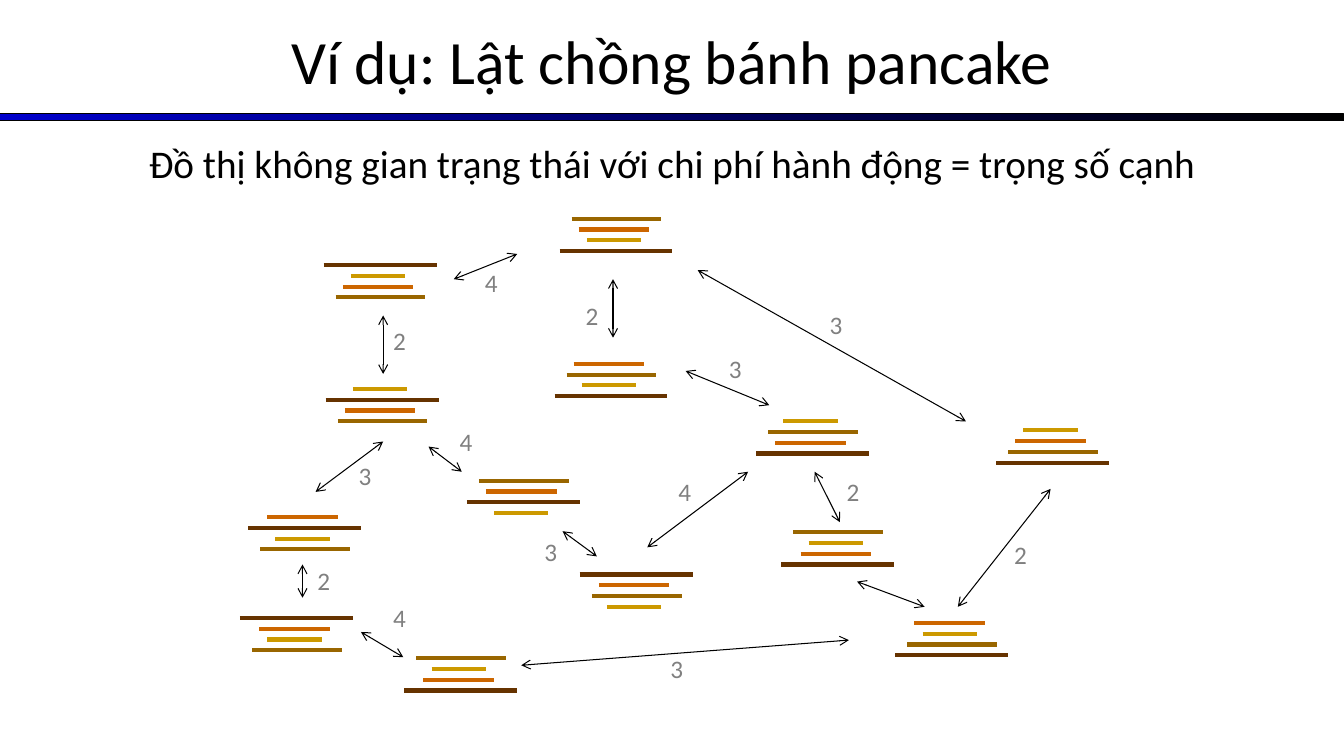
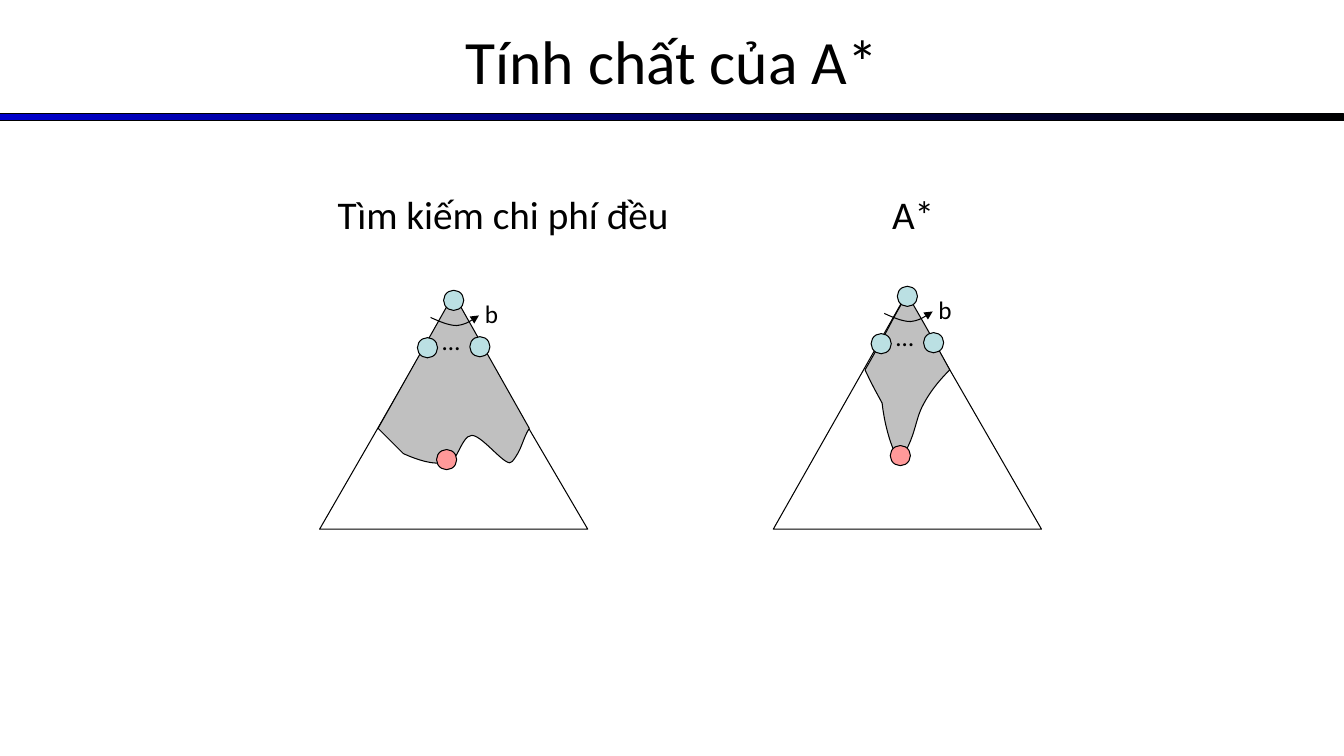
from dataclasses import dataclass

from lxml.etree import SubElement
from pptx import Presentation
from pptx.dml.color import RGBColor
from pptx.enum.shapes import MSO_CONNECTOR, MSO_SHAPE
from pptx.enum.text import MSO_ANCHOR, MSO_AUTO_SIZE, PP_ALIGN
from pptx.oxml.ns import qn
from pptx.util import Inches, Pt

PX = Inches(1) // 100
SLIDE_W, SLIDE_H = 1333, 750


@dataclass(frozen=True)
class Theme:
    font: str = "Calibri"
    ink: str = "000000"
    band: str = "0000CC"
    cost: str = "808080"
    node: str = "BBE0E3"
    goal: str = "FF9999"
    explored: str = "C0C0C0"
    title_size: int = 44
    heading_size: int = 28
    label_size: int = 18
    thin: float = 0.75
    thick: float = 3


THEME = Theme()

# size: (left offset, width, colour)
PANCAKES = {
    1: (27, 54, "CC9900"),
    2: (19, 70, "CC6600"),
    3: (12, 89, "996600"),
    4: (0, 112, "663300"),
}

# left, top, pancake sizes from top to bottom
STACKS = [
    (555, 217, (3, 2, 1, 4)), (321, 263, (4, 1, 2, 3)),
    (550, 361, (2, 3, 1, 4)), (323, 386, (1, 4, 2, 3)),
    (750, 418, (1, 3, 2, 4)), (988, 427, (1, 2, 3, 4)),
    (463, 477, (3, 2, 4, 1)), (246, 513, (2, 4, 1, 3)),
    (775, 528, (3, 1, 2, 4)), (575, 570, (4, 2, 3, 1)),
    (238, 613, (4, 2, 1, 3)), (888, 618, (2, 1, 3, 4)),
    (401, 653, (3, 1, 2, 4)),
]

# start, end, cost, place of the cost
EDGES = [
    ((513, 252), (450, 277), "4", (471, 260)),
    ((380, 371), (380, 313), "2", (380, 318)),
    ((313, 488), (380, 438), "3", (346, 452)),
    ((458, 468), (425, 443), "4", (446, 418)),
    ((300, 593), (300, 560), "2", (305, 556)),
    ((400, 652), (358, 627), "4", (380, 593)),
    ((842, 635), (517, 660), "3", (655, 643)),
    ((592, 552), (558, 527), "3", (530, 527)),
    ((742, 468), (642, 543), "4", (663, 468)),
    ((680, 368), (763, 402), "3", (713, 346)),
    ((608, 277), (608, 335), "2", (571, 293)),
    ((958, 418), (692, 268), "3", (813, 302)),
    ((808, 468), (833, 518), "2", (830, 468)),
    ((850, 577), (917, 602), None, None),
    ((950, 602), (1042, 485), "2", (996, 530)),
]

# Outlines relative to a tree's box; six numbers make a cubic curve
BRANCHING_ARC = [(110, 27), (119, 31, 128, 35, 136, 35), (144, 34, 151, 30, 158, 25)]
UNIFORM_COST_AREA = [
    (133, 4), (58, 137), (83, 162),
    (83, 162, 112, 176, 125, 170), (136, 176, 140, 144, 151, 144),
    (162, 144, 186, 178, 191, 170), (201, 158, 201, 148, 208, 137),
]
A_STAR_AREA = [
    (133, 8), (118, 32, 117, 38, 91, 83), (99, 100, 101, 103, 108, 116),
    (108, 116, 111, 150, 125, 174), (142, 149, 140, 133, 149, 117),
    (157, 102, 167, 91, 175, 83), (150, 37, 143, 26, 133, 8),
]


def rgb(code):
    return RGBColor.from_string(code)


def emu(*lengths):
    return [round(length * PX) for length in lengths]


def style_line(shape, colour=THEME.ink, width=THEME.thin, head=None, tail=None):
    shape.line.color.rgb = rgb(colour)
    shape.line.width = Pt(width)
    outline = shape.element.spPr.find(qn("a:ln"))
    for tag, kind in (("a:headEnd", head), ("a:tailEnd", tail)):
        if kind:
            SubElement(outline, qn(tag), type=kind)


def style_shape(shape, fill=None, **line):
    shape.shadow.inherit = False
    if fill:
        shape.fill.solid()
        shape.fill.fore_color.rgb = rgb(fill)
    else:
        shape.fill.background()
    style_line(shape, **line)


def add_span(para, text, size, colour=THEME.ink):
    span = para.add_run()
    span.text = text
    span.font.name = THEME.font
    span.font.size = Pt(size)
    span.font.color.rgb = rgb(colour)


def add_label(page, text, left, top, width=33, height=40,
              size=THEME.label_size, colour=THEME.ink, align=PP_ALIGN.LEFT):
    box = page.shapes.add_textbox(*emu(left, top, width, height))
    frame = box.text_frame
    frame.word_wrap = True
    frame.auto_size = MSO_AUTO_SIZE.SHAPE_TO_FIT_TEXT
    para = frame.paragraphs[0]
    para.alignment = align
    add_span(para, text, size, colour)


def add_line(page, start, end, **line):
    connector = page.shapes.add_connector(MSO_CONNECTOR.STRAIGHT, *emu(*start, *end))
    style_line(connector, **line)
    SubElement(connector.element.spPr, qn("a:effectLst"))


def add_preset(page, kind, left, top, width, height, fill=None):
    shape = page.shapes.add_shape(kind, *emu(left, top, width, height))
    style_shape(shape, fill)
    return shape


def bend(segment, points):
    """Turn a straight segment into a cubic curve through the given points."""
    segment.tag = qn("a:cubicBezTo")
    for point in list(segment):
        segment.remove(point)
    for x, y in points:
        SubElement(segment, qn("a:pt"), x=str(x), y=str(y))


def add_outline(page, left, top, outline, fill=None, close=True, **line):
    ends = [emu(left + part[-2], top + part[-1]) for part in outline]
    builder = page.shapes.build_freeform(*ends[0])
    builder.add_line_segments(ends[1:], close=close)
    shape = builder.convert_to_shape()
    segments = list(shape.element.iter(qn("a:lnTo")))
    for segment, part in zip(segments, outline[1:]):
        if len(part) == 6:
            points = [emu(left + x, top + y) for x, y in zip(part[::2], part[1::2])]
            bend(segment, [(x - shape.left, y - shape.top) for x, y in points])
    style_shape(shape, fill, **line)


def prepare_layout(deck):
    """Place the title on the shared layout."""
    layout = deck.slide_layouts.get_by_name("Title Only")
    title = layout.placeholders[0]
    title.left, title.top, title.width, title.height = emu(0, -3, SLIDE_W, 125)
    title.text_frame.vertical_anchor = MSO_ANCHOR.MIDDLE
    return layout


def add_band(page):
    """Draw the band and hand it to the layout, behind the title."""
    band = add_preset(page, MSO_SHAPE.RECTANGLE, 0, 113, SLIDE_W, 7)
    band.fill.gradient()
    band.fill.gradient_angle = 0
    for stop, position, colour in zip(band.fill.gradient_stops, (0, 1),
                                      (THEME.band, THEME.ink)):
        stop.position = position
        stop.color.rgb = rgb(colour)
    page.slide_layout.shapes.element.insert(2, band.element)


def add_page(deck, layout, title):
    page = deck.slides.add_slide(layout)
    para = page.shapes.title.text_frame.paragraphs[0]
    para.alignment = PP_ALIGN.CENTER
    add_span(para, title, THEME.title_size)
    return page


def add_stack(page, left, top, sizes):
    for row, size in enumerate(sizes):
        inset, width, colour = PANCAKES[size]
        x, y = left + inset, top + row * 32 / 3
        add_line(page, (x, y), (x + width, y), colour=colour, width=THEME.thick)


def add_edge(page, start, end, cost, place):
    add_line(page, start, end, head="arrow", tail="arrow")
    if cost:
        add_label(page, cost, *place, colour=THEME.cost)


def add_search_tree(page, left, top, height, area):
    add_outline(page, left, top, [(0, height), (266, height), (132, 8)])
    add_outline(page, left, top, area, THEME.explored)
    for x, y, fill in ((97, 47, THEME.node), (149, 46, THEME.node),
                       (116, 158, THEME.goal), (123, 0, THEME.node)):
        add_preset(page, MSO_SHAPE.OVAL, left + x, top + y, 20, 20, fill)
    add_label(page, "…", left + 112, top + 30, width=30)
    add_outline(page, left, top, BRANCHING_ARC, close=False, tail="triangle")
    add_label(page, "b", left + 154, top + 3)


def fill_pancake_page(page):
    for stack in STACKS:
        add_stack(page, *stack)
    for edge in EDGES:
        add_edge(page, *edge)
    add_label(page, "Đồ thị không gian trạng thái với chi phí hành động = trọng số cạnh",
              0, 133, SLIDE_W, 57, THEME.heading_size, align=PP_ALIGN.CENTER)


def fill_a_star_page(page):
    add_search_tree(page, 317, 288, 237, UNIFORM_COST_AREA)
    add_search_tree(page, 767, 284, 241, A_STAR_AREA)
    add_label(page, "Tìm kiếm chi phí đều", 325, 184, 367, 57, THEME.heading_size)
    add_label(page, "A*", 875, 184, 67, 57, THEME.heading_size)


def main():
    deck = Presentation()
    deck.slide_width, deck.slide_height = emu(SLIDE_W, SLIDE_H)
    layout = prepare_layout(deck)
    pancake_page = add_page(deck, layout, "Ví dụ: Lật chồng bánh pancake")
    add_band(pancake_page)
    fill_pancake_page(pancake_page)
    fill_a_star_page(add_page(deck, layout, "Tính chất của A*"))
    deck.save("out.pptx")


if __name__ == "__main__":
    main()
